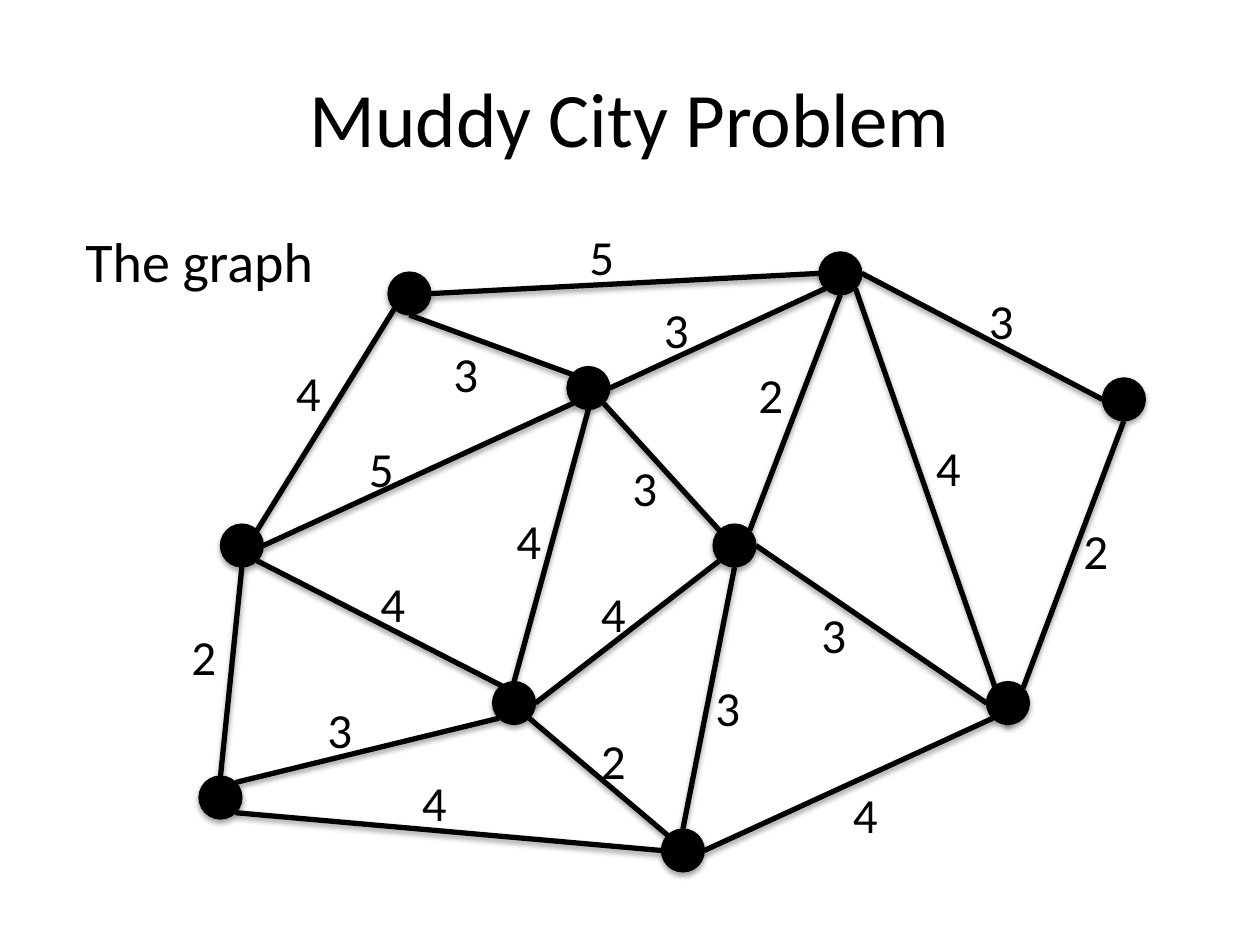
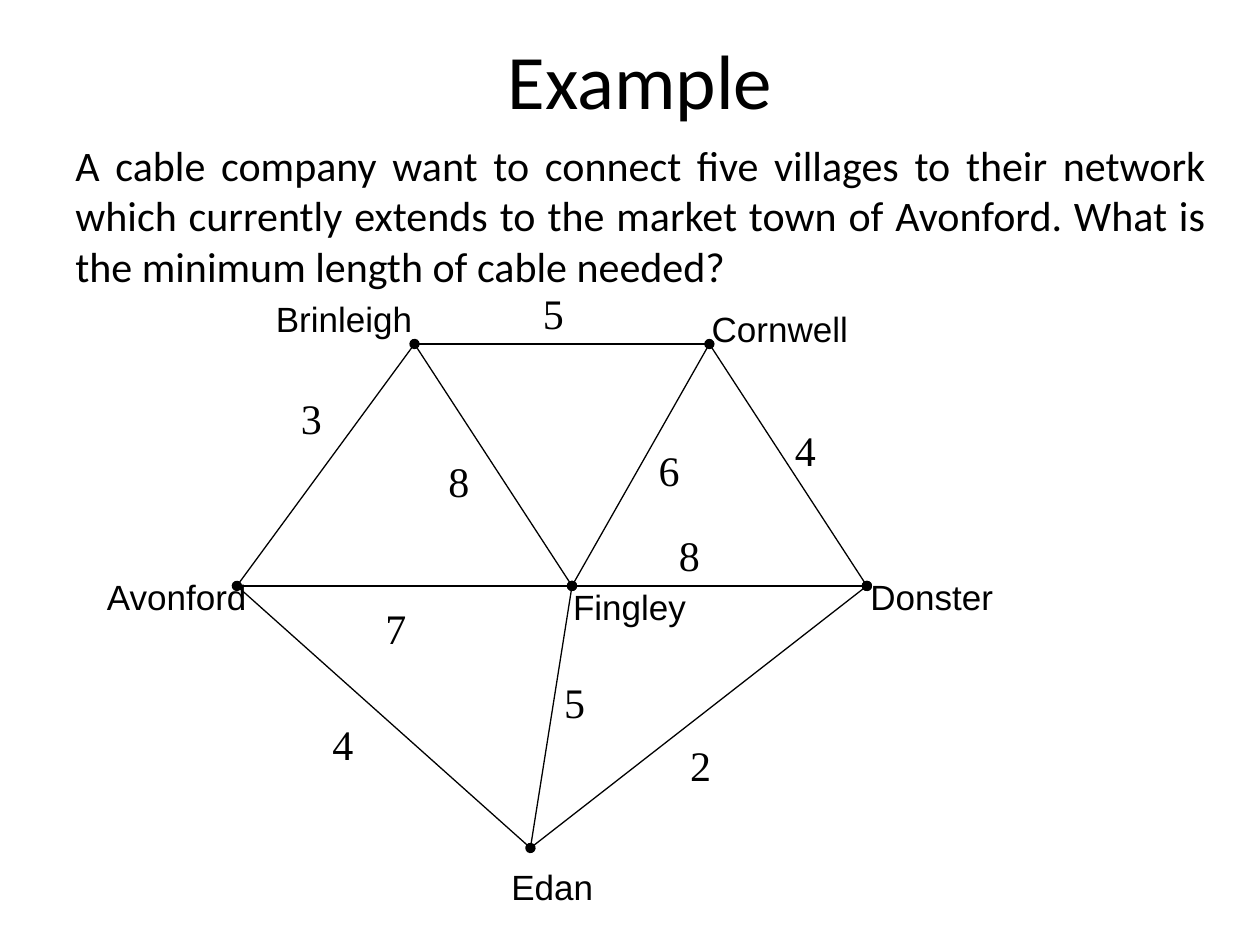
"""Build two slides of weighted graphs: the muddy city and the village cable network."""
from dataclasses import dataclass
from pptx import Presentation
from pptx.dml.color import RGBColor
from pptx.enum.shapes import MSO_CONNECTOR, MSO_SHAPE
from pptx.enum.text import MSO_ANCHOR, PP_ALIGN
from pptx.oxml import parse_xml
from pptx.oxml.ns import nsdecls
from pptx.util import Inches, Pt


@dataclass(frozen=True)
class Theme:
    ink: RGBColor = RGBColor(0, 0, 0)
    title: tuple = ("Calibri", 44)
    subtitle: tuple = ("Calibri", 32)
    street_weight: tuple = ("Calibri", 28)
    question: tuple = ("Calibri", 24)
    village: tuple = ("Arial", 20)
    cable_weight: tuple = ("Times New Roman", 24)
    street_width: float = 3
    cable_width: float = 0.75
    no_shadow: str = f'<a:effectLst {nsdecls("a")}/>'
    soft_shadow: str = (
        f'<a:effectLst {nsdecls("a")}>'
        '<a:outerShdw blurRad="40000" dist="22000" dir="5400000" rotWithShape="0">'
        '<a:srgbClr val="000000"><a:alpha val="36000"/></a:srgbClr>'
        '</a:outerShdw></a:effectLst>'
    )


theme = Theme()


def write(page, area, text, style, align=PP_ALIGN.LEFT, anchor=MSO_ANCHOR.TOP):
    box = page.shapes.add_textbox(*(Inches(length) for length in area))
    box.text_frame.word_wrap = True
    box.text_frame.vertical_anchor = anchor
    para = box.text_frame.paragraphs[0]
    para.alignment = align
    span = para.add_run()
    span.text = text
    span.font.name, size = style
    span.font.size = Pt(size)
    span.font.color.rgb = theme.ink


def draw_line(page, start, end, width, effect):
    ends = (Inches(length) for length in (*start, *end))
    line = page.shapes.add_connector(MSO_CONNECTOR.STRAIGHT, *ends)
    line.line.color.rgb = theme.ink
    line.line.width = Pt(width)
    line._element.spPr.append(parse_xml(effect))
    return line


deck = Presentation()
deck.slide_width, deck.slide_height = Inches(10), Inches(7.5)
blank = deck.slide_layouts[6]

page = deck.slides.add_slide(blank)
write(page, (0.5, 0.3, 9, 1.25), "Muddy City Problem", theme.title,
      PP_ALIGN.CENTER, MSO_ANCHOR.MIDDLE)
write(page, (0.58, 1.75, 5, 0.67), "The graph", theme.subtitle)

radius, diagonal = 0.17, 0.12
rim = {
    "n": (0, -radius), "s": (0, radius), "w": (-radius, 0), "e": (radius, 0),
    "nw": (-diagonal, -diagonal), "ne": (diagonal, -diagonal),
    "sw": (-diagonal, diagonal), "se": (diagonal, diagonal),
}
houses = {
    "A": (3.25, 2.33), "B": (1.92, 4.33), "C": (1.75, 6.33), "D": (4.08, 5.58),
    "E": (5.42, 6.75), "F": (8, 5.58), "G": (5.83, 4.33), "H": (4.67, 3.08),
    "I": (6.67, 2.17), "J": (8.92, 3.17),
}
streets = [
    ("A", "sw", "B", "ne", "4", 2.25, 2.83),
    ("H", "sw", "B", "e", "5", 2.83, 3.43),
    ("A", "s", "H", "e", "3", 3.5, 2.68),
    ("A", "e", "I", "w", "5", 4.58, 1.75),
    ("J", "w", "I", "e", "3", 7.75, 2.26),
    ("H", "e", "I", "sw", "3", 5.17, 2.33),
    ("G", "ne", "I", "s", "2", 5.92, 2.84),
    ("F", "s", "I", "se", "4", 7.33, 3.42),
    ("F", "ne", "J", "s", "2", 8.5, 4.08),
    ("F", "w", "G", "e", "3", 6.42, 4.75),
    ("E", "e", "F", "sw", "4", 6.67, 6.18),
    ("E", "n", "G", "s", "3", 5.58, 5.33),
    ("G", "nw", "H", "se", "3", 4.92, 3.58),
    ("D", "n", "H", "s", "4", 4, 4),
    ("D", "e", "G", "sw", "4", 4.67, 4.58),
    ("D", "se", "E", "nw", "2", 4.67, 5.75),
    ("C", "se", "E", "w", "4", 3.25, 6.08),
    ("C", "ne", "D", "sw", "3", 2.5, 5.5),
    ("C", "n", "B", "s", "2", 1.42, 4.92),
    ("D", "e", "B", "se", "4", 2.92, 4.5),
]

for x, y in houses.values():
    house = page.shapes.add_shape(MSO_SHAPE.OVAL, Inches(x - radius), Inches(y - radius),
                                  Inches(2 * radius), Inches(2 * radius))
    house.fill.solid()
    house.fill.fore_color.rgb = theme.ink
    house.line.color.rgb = theme.ink
    house.line.width = Pt(0.75)
    house._element.spPr.append(parse_xml(theme.soft_shadow))

for first, first_side, second, second_side, weight, left, top in streets:
    start, end = (
        [center + offset for center, offset in zip(houses[name], rim[side])]
        for name, side in ((first, first_side), (second, second_side))
    )
    draw_line(page, start, end, theme.street_width, theme.soft_shadow)
    write(page, (left, top, 0.83, 0.57), weight, theme.street_weight)

page = deck.slides.add_slide(blank)
write(page, (0.58, 0, 9, 1.25), "Example", theme.title,
      PP_ALIGN.CENTER, MSO_ANCHOR.MIDDLE)
write(page, (0.5, 1.08, 9.17, 1.25),
      "A cable company want to connect five villages to their network which currently "
      "extends to the market town of Avonford. What is the minimum length of cable needed?",
      theme.question, PP_ALIGN.JUSTIFY, MSO_ANCHOR.MIDDLE)

villages = {
    "Avonford": ((1.88, 4.65), (0.75, 4.52, 1.34)),
    "Brinleigh": ((3.29, 2.73), (2.09, 2.31, 1.29)),
    "Cornwell": ((5.63, 2.73), (5.55, 2.39, 1.42)),
    "Donster": ((6.88, 4.65), (6.81, 4.52, 1.51)),
    "Edan": ((4.21, 6.73), (3.96, 6.82, 1.04)),
    "Fingley": ((4.54, 4.65), (4.45, 4.6, 1.16)),
}
cables = [
    ("Avonford", "Brinleigh", "3", 2.29, 3.07, ("head", "tail")),
    ("Brinleigh", "Cornwell", "5", 4.21, 2.23, ("tail",)),
    ("Cornwell", "Donster", "4", 6.21, 3.32, ("tail",)),
    ("Avonford", "Fingley", "7", 2.96, 4.73, ()),
    ("Fingley", "Donster", "8", 5.29, 4.15, ()),
    ("Brinleigh", "Fingley", "8", 3.46, 3.57, ("tail",)),
    ("Fingley", "Cornwell", "6", 5.13, 3.48, ()),
    ("Avonford", "Edan", "4", 2.54, 5.65, ()),
    ("Edan", "Fingley", "5", 4.38, 5.32, ("head", "tail")),
    ("Edan", "Donster", "2", 5.38, 5.82, ("tail",)),
]

for first, second, weight, left, top, dots in cables:
    cable = draw_line(page, villages[first][0], villages[second][0],
                      theme.cable_width, theme.no_shadow)
    for dot in dots:
        cable.line._get_or_add_ln().append(
            parse_xml(f'<a:{dot}End {nsdecls("a")} type="oval"/>'))
    write(page, (left, top, 0.5, 0.5), weight, theme.cable_weight)

for name, (_, label) in villages.items():
    write(page, (*label, 0.43), name, theme.village)

deck.save("out.pptx")
